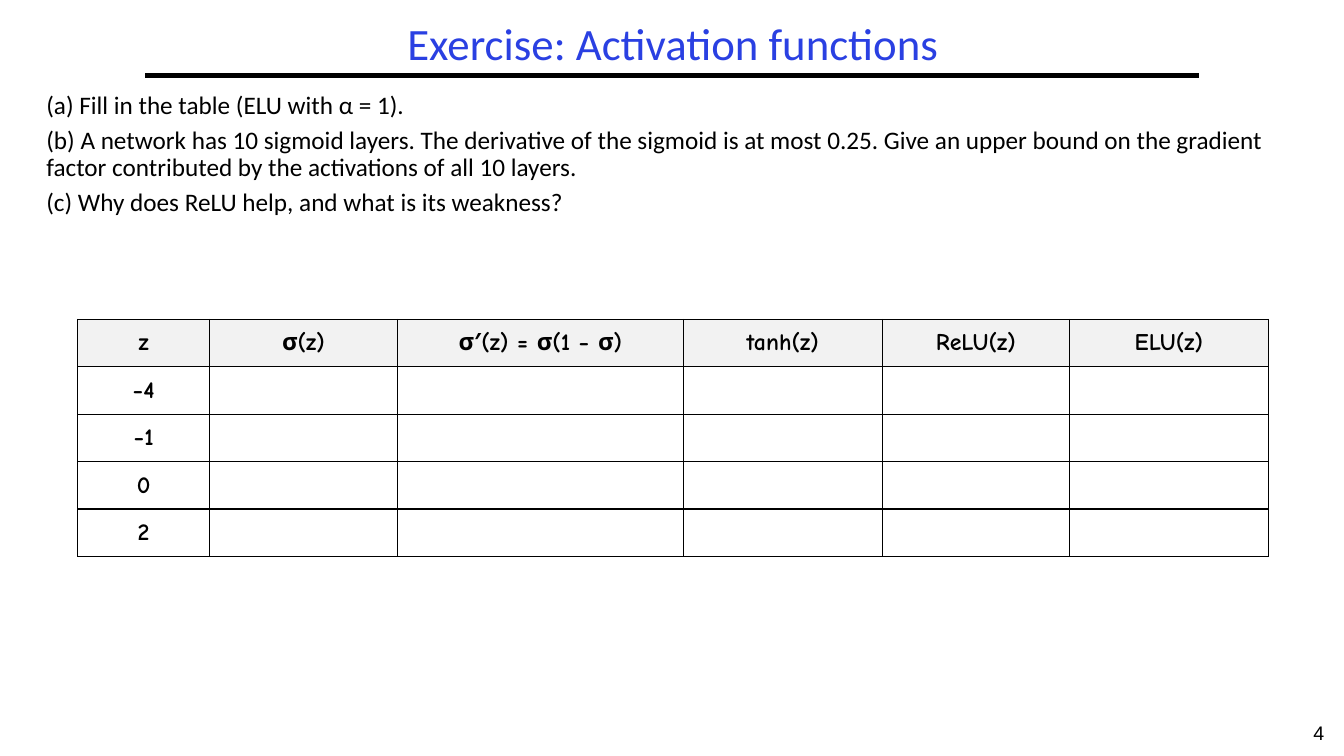
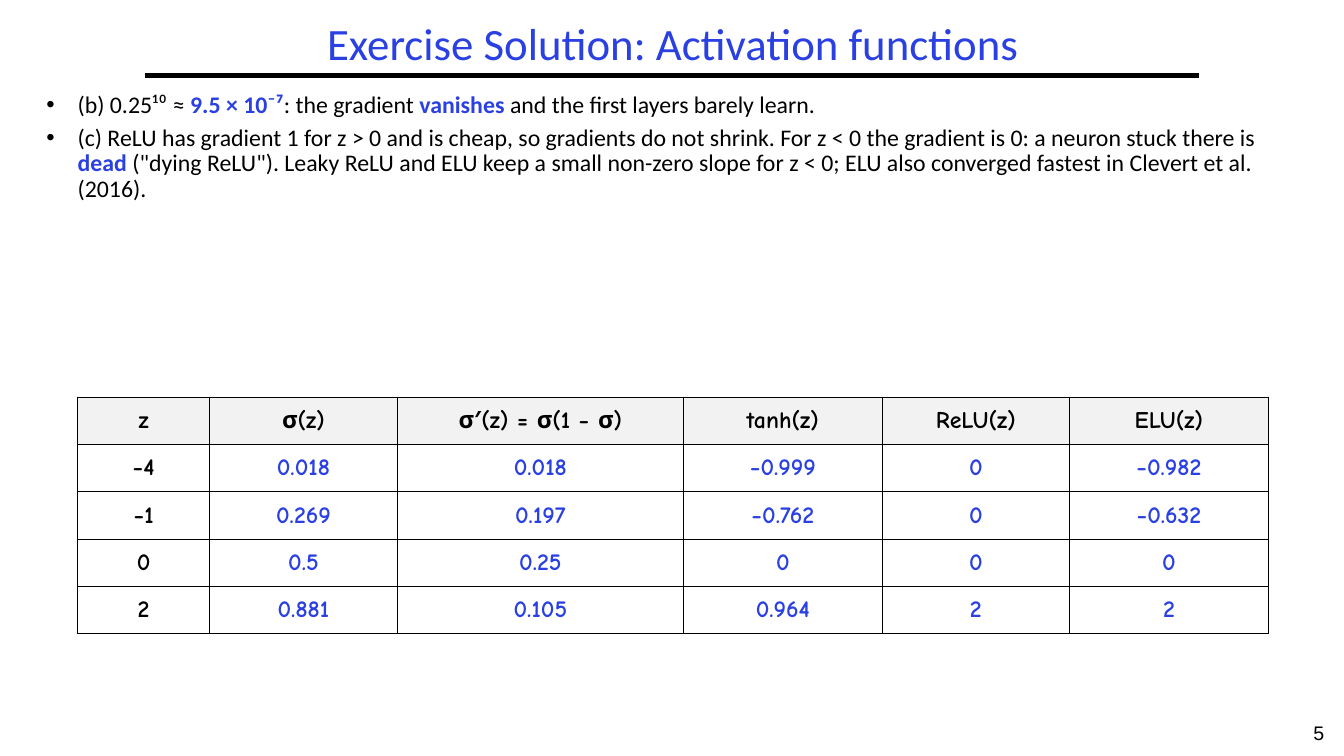
from lxml import etree
from pptx import Presentation, util as u
from pptx.dml.color import RGBColor
from pptx.enum import shapes, text
from pptx.oxml import ns

HUES = {"ink": "000000", "blue": "2A40E2", "head": "F2F2F2"}
FONTS = {
    "title": {"name": "Calibri", "size": u.Pt(32), "bold": False},
    "body": {"name": "Calibri"},
    "table": {"name": "Comic Neue", "size": u.Pt(17), "bold": True},
    "number": {"name": "Arial", "size": u.Pt(14)},
}
FRAME = {"word_wrap": True, "auto_size": text.MSO_AUTO_SIZE.NONE}
CELL = {
    "margin_left": u.Inches(0.07), "margin_right": u.Inches(0.07),
    "margin_top": u.Inches(0.03), "margin_bottom": u.Inches(0.03),
    "vertical_anchor": text.MSO_ANCHOR.MIDDLE,
}
COLS = [1.31, 1.86, 2.84, 1.97, 1.86, 1.97]
ROW = 0.47
HEADS = ["z", "σ(z)", "σ′(z) = σ(1 − σ)", "tanh(z)", "ReLU(z)", "ELU(z)"]
VALUES = [
    ["−4", "0.018", "0.018", "−0.999", "0", "−0.982"],
    ["−1", "0.269", "0.197", "−0.762", "0", "−0.632"],
    ["0", "0.5", "0.25", "0", "0", "0"],
    ["2", "0.881", "0.105", "0.964", "2", "2"],
]
TASKS = [
    "(a) Fill in the table (ELU with α = 1).",
    "(b) A network has 10 sigmoid layers. The derivative of the sigmoid is at most 0.25. "
    "Give an upper bound on the gradient factor contributed by the activations of all 10 layers.",
    "(c) Why does ReLU help, and what is its weakness?",
]
ANSWERS = [
    "(b) 0.25¹⁰ ≈ **9.5 × 10⁻⁷**: the gradient **vanishes** and the first layers barely learn.",
    "(c) ReLU has gradient 1 for z > 0 and is cheap, so gradients do not shrink. "
    "For z < 0 the gradient is 0: a neuron stuck there is **dead** (\"dying ReLU\"). "
    "Leaky ReLU and ELU keep a small non-zero slope for z < 0; "
    "ELU also converged fastest in Clevert et al. (2016).",
]


def apply(item, form):
    for key, value in form.items():
        setattr(item, key, value)


def place(shape, *box):
    apply(shape, dict(zip(("left", "top", "width", "height"), map(u.Inches, box))))


def add_run(para, words, style, hue="ink", **extra):
    run = para.add_run()
    run.text = words
    apply(run.font, FONTS[style] | extra)
    run.font.color.rgb = RGBColor.from_string(HUES[hue])


def add_node(parent, tag, **attrs):
    return etree.SubElement(parent, ns.qn(tag), attrs)


def set_title(slide, words):
    title = slide.shapes.title
    place(title, 1.44, 0.17, 10.47, 0.58)
    apply(title.text_frame, FRAME | {"vertical_anchor": text.MSO_ANCHOR.MIDDLE})
    para = title.text_frame.paragraphs[0]
    apply(para, {"alignment": text.PP_ALIGN.CENTER, "line_spacing": 0.9})
    add_run(para, words, "title", "blue")


def set_body(slide, items, size, height, bullet=False):
    """Fill the body; words between double asterisks are bold and blue."""
    body = slide.placeholders[1]
    place(body, 0.36, 0.87, 12.58, height)
    frame = body.text_frame
    apply(frame, FRAME)
    indent = u.Inches(0.31) if bullet else 0
    for row, item in enumerate(items):
        para = frame.add_paragraph() if row else frame.paragraphs[0]
        props = para._p.get_or_add_pPr()
        props.set("marL", str(indent))
        props.set("indent", str(-indent))
        if bullet:
            add_node(props, "a:buFont", typeface="Arial")
            add_node(props, "a:buChar", char="•")
        else:
            add_node(props, "a:buNone")
        before = u.Pt(0.3 * size) if row else u.Pt(0)
        apply(para, {"line_spacing": 0.9, "space_before": before})
        for part, words in enumerate(item.split("**")):
            strong = part % 2 == 1
            hue = "blue" if strong else "ink"
            add_run(para, words, "body", hue, size=u.Pt(size), bold=strong)


def add_rule(slide):
    ends = map(u.Inches, (1.44, 0.75, 11.89, 0.75))
    rule = slide.shapes.add_connector(shapes.MSO_CONNECTOR.STRAIGHT, *ends)
    rule.line.width = u.Pt(3)
    rule.line.color.rgb = RGBColor.from_string(HUES["ink"])
    add_node(rule._element.spPr, "a:effectLst")


def add_number(slide, number):
    box = slide.shapes.add_textbox(*map(u.Inches, (12.83, 7.1, 0.5, 0.4)))
    box.text_frame.word_wrap = True
    para = box.text_frame.paragraphs[0]
    para.alignment = text.PP_ALIGN.CENTER
    add_run(para, str(number), "number")


def add_border(cell):
    props = cell._tc.get_or_add_tcPr()
    for side in ("L", "R", "T", "B"):
        line = add_node(props, f"a:ln{side}", w=str(u.Pt(1)))
        add_node(add_node(line, "a:solidFill"), "a:srgbClr", val=HUES["ink"])


def add_grid(slide, top, rows):
    """Add the table of values; a short row leaves the rest of its cells empty."""
    rows = [HEADS, *rows]
    box = map(u.Inches, (0.77, top, sum(COLS), ROW * len(rows)))
    table = slide.shapes.add_table(len(rows), len(COLS), *box).table
    apply(table, {"first_row": False, "horz_banding": False})
    for col, width in zip(table.columns, COLS):
        col.width = u.Inches(width)
    for r, row in enumerate(rows):
        table.rows[r].height = u.Inches(ROW)
        for c in range(len(COLS)):
            cell = table.cell(r, c)
            apply(cell, CELL)
            add_border(cell)
            if r:
                cell.fill.background()
            else:
                cell.fill.solid()
                cell.fill.fore_color.rgb = RGBColor.from_string(HUES["head"])
            if c < len(row):
                para = cell.text_frame.paragraphs[0]
                para.alignment = text.PP_ALIGN.CENTER
                add_run(para, row[c], "table", "blue" if r and c else "ink")


def add_page(deck, number, title):
    slide = deck.slides.add_slide(deck.slide_layouts[1])
    add_rule(slide)
    add_number(slide, number)
    set_title(slide, title)
    return slide


def main():
    deck = Presentation()
    apply(deck, {"slide_width": u.Inches(13.33), "slide_height": u.Inches(7.5)})

    task = add_page(deck, 4, "Exercise: Activation functions")
    set_body(task, TASKS, 18, 6.01)
    add_grid(task, 3.17, [row[:1] for row in VALUES])

    answer = add_page(deck, 5, "Exercise Solution: Activation functions")
    set_body(answer, ANSWERS, 17, 3.17, bullet=True)
    add_grid(answer, 3.94, VALUES)

    deck.save("out.pptx")


if __name__ == "__main__":
    main()
